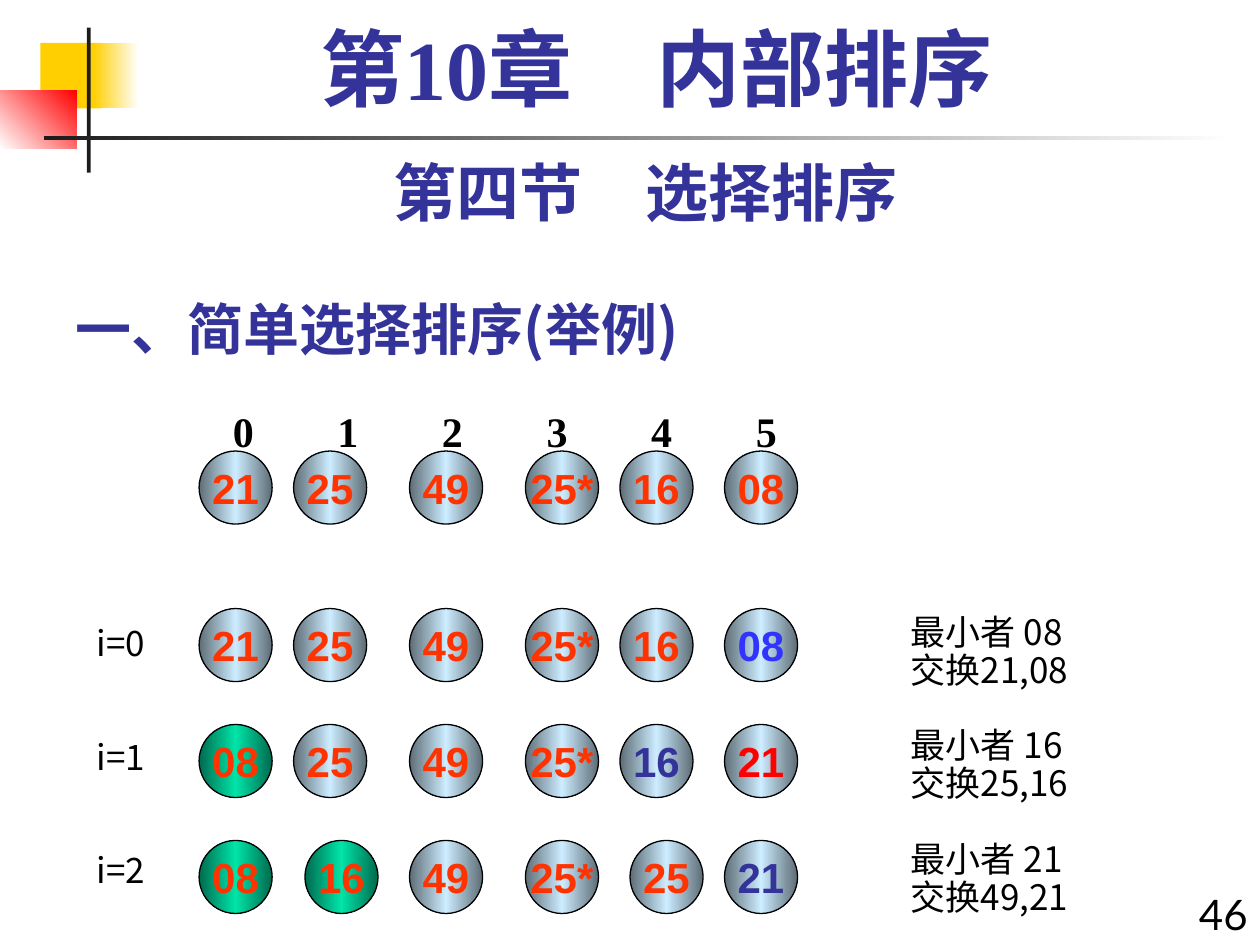
from lxml import etree
from pptx import Presentation
from pptx.dml.color import RGBColor
from pptx.enum.shapes import MSO_SHAPE
from pptx.enum.text import MSO_ANCHOR, PP_ALIGN
from pptx.oxml import parse_xml
from pptx.oxml.ns import nsdecls, qn
from pptx.util import Inches, Pt

COLORS = {
    "yellow": "FFCF01", "red": "FF0000", "white": "FFFFFF", "dark": "1C1C1C",
    "navy": "333399", "black": "000000", "orange": "FF3300", "blue": "3333FF",
    "steel": "5E6D76", "ice": "CCECFF", "forest": "006A4E", "mint": "00E4A8",
}
CJK = "Noto Sans CJK SC"
BALL_SIZE = 0.58
COLUMNS = [1.58, 2.33, 3.25, 4.17, 4.92, 5.75]
INDEX_STEP = 0.83
LINE_HEIGHT = 21.6

# Each row: top, values, number of sorted balls, {column: text color}, {column: left}
ROWS = [
    (3.58, ["21", "25", "49", "25*", "16", "08"], 0, {}, {}),
    (4.83, ["21", "25", "49", "25*", "16", "08"], 0, {5: "blue"}, {}),
    (5.75, ["08", "25", "49", "25*", "16", "21"], 1, {4: "navy", 5: "red"}, {}),
    (6.67, ["08", "16", "49", "25*", "25", "21"], 2, {5: "navy"}, {1: 2.42, 4: 5}),
]
STEPS = [("08", "21,08"), ("16", "25,16"), ("21", "49,21")]


def rgb(name):
    return RGBColor.from_string(COLORS[name])


def set_gradient(shape, names, angle=0):
    """Fill a shape with evenly spaced gradient stops."""
    last = len(names) - 1
    stops = "".join(
        f'<a:gs pos="{100000 * i // last}"><a:srgbClr val="{COLORS[name]}"/></a:gs>'
        for i, name in enumerate(names))
    gradient = parse_xml(
        f'<a:gradFill {nsdecls("a")} rotWithShape="1"><a:gsLst>{stops}</a:gsLst>'
        f'<a:lin ang="{angle * 60000}" scaled="0"/></a:gradFill>')
    shape.fill.background()
    properties = shape._element.spPr
    properties.replace(properties.find(qn("a:noFill")), gradient)


def format_paragraph(paragraph, size, font, color, bold=False, align=PP_ALIGN.LEFT):
    paragraph.alignment = align
    for run in paragraph.runs:
        run.font.size = Pt(size)
        run.font.name = font
        run.font.bold = bold
        run.font.color.rgb = rgb(color)
        east_asian = etree.SubElement(run._r.get_or_add_rPr(), qn("a:ea"))
        east_asian.set("typeface", CJK)


def add_shape(slide, kind, box, names, angle=0):
    shape = slide.shapes.add_shape(kind, *map(Inches, box))
    shape.shadow.inherit = False
    if len(names) > 1:
        set_gradient(shape, names, angle)
    else:
        shape.fill.solid()
        shape.fill.fore_color.rgb = rgb(names[0])
    shape.line.fill.background()
    return shape


def add_text(slide, box, text, size, font, color="black", bold=False,
             align=PP_ALIGN.LEFT, anchor=MSO_ANCHOR.TOP):
    text_frame = slide.shapes.add_textbox(*map(Inches, box)).text_frame
    text_frame.word_wrap = True
    text_frame.vertical_anchor = anchor
    text_frame.text = text
    for paragraph in text_frame.paragraphs:
        format_paragraph(paragraph, size, font, color, bold, align)
    return text_frame.paragraphs


def add_ball(slide, left, top, value, is_sorted, color):
    names = ["forest", "mint", "forest"] if is_sorted else ["steel", "ice", "steel"]
    ball = add_shape(slide, MSO_SHAPE.OVAL, (left, top, BALL_SIZE, BALL_SIZE), names)
    ball.line.color.rgb = rgb("black")
    ball.line.width = Pt(0.75)
    text_frame = ball.text_frame
    text_frame.word_wrap = False
    text_frame.vertical_anchor = MSO_ANCHOR.MIDDLE
    text_frame.text = value
    format_paragraph(text_frame.paragraphs[0], 24, "Arial", color, True, PP_ALIGN.CENTER)


def add_ball_row(slide, top, values, sorted_count, text_colors, moved):
    for column, value in enumerate(values):
        add_ball(slide, moved.get(column, COLUMNS[column]), top, value,
                 column < sorted_count, text_colors.get(column, "orange"))


def add_index_labels(slide):
    """One line of column numbers, spread by tab stops."""
    count = len(COLUMNS)
    paragraph = add_text(slide, (1.75, 3.17, 4.86, 0.5), "\t".join(map(str, range(count))),
                         24, "Times New Roman", bold=True)[0]
    tabs = etree.SubElement(paragraph._p.get_or_add_pPr(), qn("a:tabLst"))
    for i in range(1, count):
        etree.SubElement(tabs, qn("a:tab"), pos=str(Inches(INDEX_STEP * i)), algn="l")


def add_step_text(slide, box, lines, group_size, gap_lines):
    """Lines in groups, with a gap of whole lines before each later group."""
    for i, paragraph in enumerate(add_text(slide, box, "\n".join(lines), 20, CJK)):
        paragraph.line_spacing = Pt(LINE_HEIGHT)
        if i and i % group_size == 0:
            paragraph.space_before = Pt(LINE_HEIGHT * gap_lines)


def add_decoration(slide):
    for box, names, angle in [
        ((0.32, 0.34, 0.48, 0.52), ["yellow"], 0),
        ((0.74, 0.34, 0.36, 0.52), ["yellow", "white"], 0),
        ((0, 0.72, 0.61, 0.46), ["white", "red"], 315),
        ((0.69, 0.22, 0.03, 1.15), ["dark"], 0),
        ((0.35, 1.08, 9.45, 0.03), ["dark", "white"], 0),
    ]:
        add_shape(slide, MSO_SHAPE.RECTANGLE, box, names, angle)


def add_headings(slide):
    heading = add_text(slide, (0.5, 2.17, 6.25, 0.75), "一、简单选择排序(举例)", 32, CJK,
                       "navy", True, anchor=MSO_ANCHOR.BOTTOM)[0]
    heading.level = 0
    section = add_text(slide, (0.5, 1.17, 9.25, 0.7), "第四节　选择排序", 36, "Lato",
                       "navy", True, PP_ALIGN.CENTER)[0]
    section.space_before = Pt(22.5)
    chapter = add_text(slide, (0.67, 0.17, 9.08, 0.83), "第10章　内部排序", 48,
                       "Times New Roman", "navy", True, PP_ALIGN.CENTER)[0]
    chapter.line_spacing = 0.9
    chapter.space_before = Pt(12)


def main():
    presentation = Presentation()
    presentation.slide_width = Inches(10)
    presentation.slide_height = Inches(7.5)
    slide = presentation.slides.add_slide(presentation.slide_layouts[6])

    # Frame and headings
    add_decoration(slide)
    add_headings(slide)
    page = add_text(slide, (9.33, 7, 0.67, 0.59), "46", 24, "Lato", align=PP_ALIGN.RIGHT)[0]
    page.space_before = Pt(15)

    # Sorting example
    add_index_labels(slide)
    for row in ROWS:
        add_ball_row(slide, *row)

    # Step names and remarks
    remarks = [line for smallest, swap in STEPS
               for line in (f"最小者 {smallest}", f"交换{swap}")]
    add_step_text(slide, (7.13, 4.83, 1.52, 2.5), remarks, 2, 1)
    add_step_text(slide, (0.67, 4.92, 0.62, 3.1),
                  [f"i={i}" for i in range(len(STEPS))], 1, 2)

    presentation.save("out.pptx")


if __name__ == "__main__":
    main()
